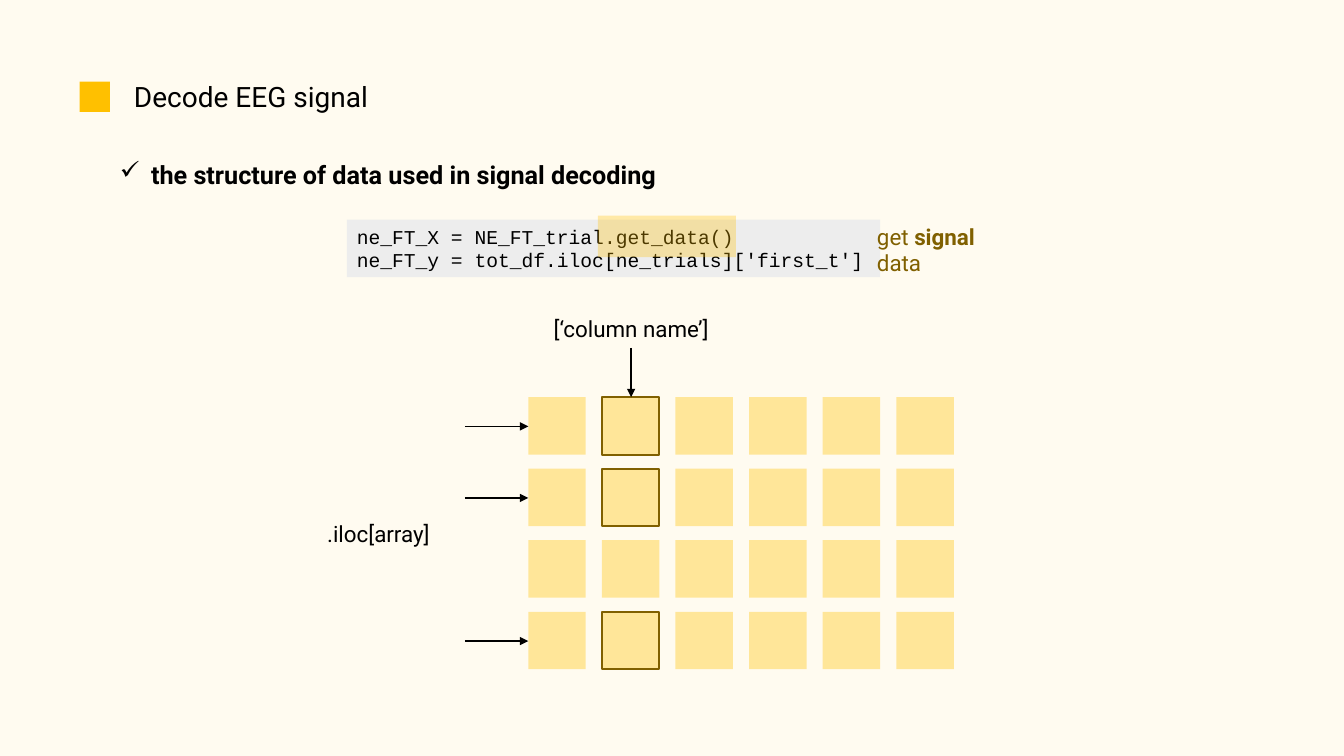
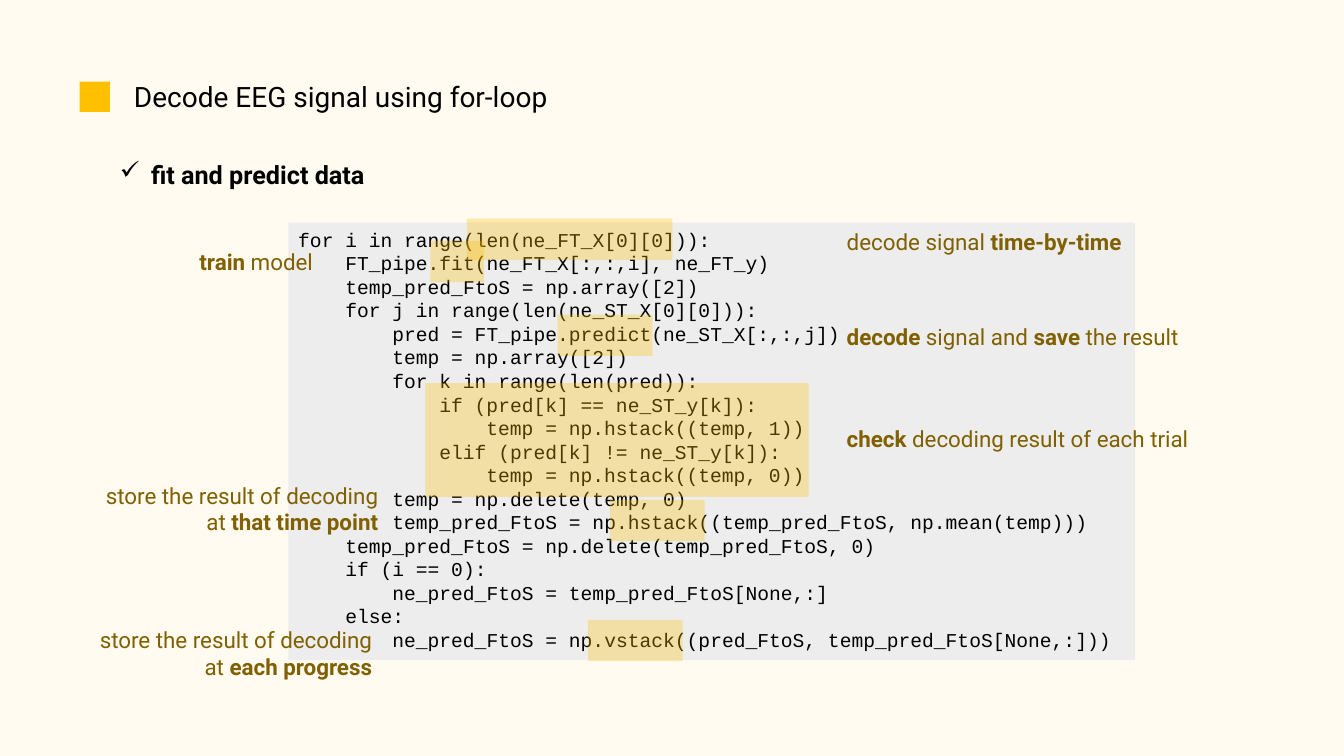
from lxml import etree
from pptx import Presentation
from pptx import util as u
from pptx.dml.color import RGBColor
from pptx.enum import shapes, text
from pptx.oxml.ns import qn

SCALE = 9144  # EMU in one px, 100 px to the inch
WIDTH, HEIGHT = 1333, 750

CREAM = RGBColor(0xFF, 0xFB, 0xF0)
AMBER = RGBColor(0xFF, 0xC0, 0x00)
SAND = RGBColor(0xFF, 0xE6, 0x99)
BROWN = RGBColor(0x80, 0x60, 0x00)
GREY = RGBColor(0xED, 0xED, 0xED)
BLACK = RGBColor(0x00, 0x00, 0x00)

BODY_FONT, CODE_FONT = "Roboto", "Courier New"
CODE_SIZE = 14
CODE_INDENT = u.Pt(4 * 0.6 * CODE_SIZE)  # four monospaced characters
LEFT, CENTER, RIGHT = text.PP_ALIGN.LEFT, text.PP_ALIGN.CENTER, text.PP_ALIGN.RIGHT


def px(length):
    return u.Emu(length * SCALE)


def write_paragraph(paragraph, content, *, size=16, font=BODY_FONT, color=BLACK,
                    align=LEFT, margin=0, bullet=None):
    """Write one paragraph; parts between double asterisks are bold."""
    paragraph.alignment = align
    properties = paragraph._p.get_or_add_pPr()
    if margin:
        properties.set("marL", str(margin))
    if bullet:
        properties.set("indent", str(-margin))
        etree.SubElement(properties, qn("a:buChar")).set("char", bullet)
    for index, part in enumerate(content.split("**")):
        if part:
            run = paragraph.add_run()
            run.text = part
            run.font.size = u.Pt(size)
            run.font.name = font
            run.font.bold = index % 2 == 1
            run.font.color.rgb = color


class Deck:
    def __init__(self):
        self.presentation = Presentation()
        self.presentation.slide_width = px(WIDTH)
        self.presentation.slide_height = px(HEIGHT)
        self.slide = None

    def start_slide(self, title, topic):
        self.slide = self.presentation.slides.add_slide(self.presentation.slide_layouts[6])
        background = self.slide.background.fill
        background.solid()
        background.fore_color.rgb = CREAM
        self.rectangle(79, 81, 30, 30, AMBER)
        self.label(123, 74, 800, 44, [title], size=20)
        self.label(109, 153, 800, 40, [f"**{topic}**"], size=18, margin=px(31), bullet="✓")

    def rectangle(self, left, top, width, height, fill, outline=None, opacity=None):
        shape = self.slide.shapes.add_shape(
            shapes.MSO_SHAPE.RECTANGLE, px(left), px(top), px(width), px(height))
        shape.shadow.inherit = False
        shape.fill.solid()
        shape.fill.fore_color.rgb = fill
        if opacity:
            color = shape.element.find(".//" + qn("a:srgbClr"))
            etree.SubElement(color, qn("a:alpha")).set("val", str(opacity * 1000))
        if outline:
            shape.line.color.rgb = outline
            shape.line.width = u.Pt(1.5)
        else:
            shape.line.fill.background()
        return shape

    def highlight(self, left, top, width, height=41):
        self.rectangle(left, top, width, height, AMBER, opacity=30)

    def label(self, left, top, width, height, lines, **style):
        box = self.slide.shapes.add_textbox(px(left), px(top), px(width), px(height))
        frame = box.text_frame
        frame.word_wrap = True
        for index, line in enumerate(lines):
            paragraph = frame.add_paragraph() if index else frame.paragraphs[0]
            write_paragraph(paragraph, line, **style)

    def note(self, left, top, width, *lines, align=LEFT):
        self.label(left, top, width, 37 + 27 * (len(lines) - 1), lines,
                   color=BROWN, align=align)

    def code(self, left, top, width, height, lines):
        """Each line is a pair: indent level and statement."""
        frame = self.rectangle(left, top, width, height, GREY).text_frame
        frame.word_wrap = True
        frame.vertical_anchor = text.MSO_ANCHOR.TOP
        for index, (level, statement) in enumerate(lines):
            paragraph = frame.add_paragraph() if index else frame.paragraphs[0]
            write_paragraph(paragraph, statement, size=CODE_SIZE, font=CODE_FONT,
                            margin=level * CODE_INDENT)

    def arrow(self, x1, y1, x2, y2):
        connector = self.slide.shapes.add_connector(
            shapes.MSO_CONNECTOR.STRAIGHT, px(x1), px(y1), px(x2), px(y2))
        connector.line.color.rgb = BLACK
        connector.line.width = u.Pt(1)
        line = connector.line._get_or_add_ln()
        etree.SubElement(line, qn("a:tailEnd")).set("type", "triangle")
        etree.SubElement(connector.element.spPr, qn("a:effectLst"))


def build_structure_slide(deck):
    deck.start_slide("Decode EEG signal", "the structure of data used in signal decoding")

    # Code and its note
    deck.code(344, 218, 529, 57, [
        (0, "ne_FT_X = NE_FT_trial.get_data()"),
        (0, "ne_FT_y = tot_df.iloc[ne_trials]['first_t']"),
    ])
    deck.highlight(593, 214, 137)
    deck.note(860, 216, 140, "get **signal** data")

    # Data grid with the chosen rows and column
    grid_left, grid_top, cell, half = 524, 394, 57, 29
    column_step, row_step = 73, 71
    chosen_rows, chosen_column = (0, 1, 3), 1
    for row in range(4):
        top = grid_top + row * row_step
        for column in range(6):
            chosen = row in chosen_rows and column == chosen_column
            deck.rectangle(grid_left + column * column_step, top, cell, cell, SAND,
                           outline=BROWN if chosen else None)
        if row in chosen_rows:
            deck.arrow(461, top + half, grid_left, top + half)
    column_middle = grid_left + chosen_column * column_step + half
    deck.arrow(column_middle, 345, column_middle, grid_top)

    # Grid labels
    deck.label(286, 511, 150, 37, [".iloc[array]"], align=RIGHT)
    deck.label(column_middle - 110, 308, 220, 37, ["[‘column name’]"], align=CENTER)


def build_loop_slide(deck):
    deck.start_slide("Decode EEG signal using for-loop", "fit and predict data")

    # Code
    deck.code(286, 221, 840, 434, [
        (0, "for i in range(len(ne_FT_X[0][0])):"),
        (1, "FT_pipe.fit(ne_FT_X[:,:,i], ne_FT_y)"),
        (1, "temp_pred_FtoS = np.array([2])"),
        (1, "for j in range(len(ne_ST_X[0][0])):"),
        (2, "pred = FT_pipe.predict(ne_ST_X[:,:,j])"),
        (2, "temp = np.array([2])"),
        (2, "for k in range(len(pred)):"),
        (3, "if (pred[k] == ne_ST_y[k]):"),
        (4, "temp = np.hstack((temp, 1))"),
        (3, "elif (pred[k] != ne_ST_y[k]):"),
        (4, "temp = np.hstack((temp, 0))"),
        (2, "temp = np.delete(temp, 0)"),
        (2, "temp_pred_FtoS = np.hstack((temp_pred_FtoS, np.mean(temp)))"),
        (1, "temp_pred_FtoS = np.delete(temp_pred_FtoS, 0)"),
        (1, "if (i == 0):"),
        (2, "ne_pred_FtoS = temp_pred_FtoS[None,:]"),
        (1, "else:"),
        (2, "ne_pred_FtoS = np.vstack((pred_FtoS, temp_pred_FtoS[None,:]))"),
    ])

    # Highlighted calls
    for left, top, width in [(463, 217, 204), (427, 239, 53), (553, 312, 94),
                             (605, 496, 94), (583, 615, 94)]:
        deck.highlight(left, top, width)
    deck.highlight(422, 380, 380, 113)

    # Notes on the right
    for top, line in [(221, "decode signal **time-by-time**"),
                      (316, "**decode** signal and **save** the result"),
                      (417, "**check** decoding result of each trial")]:
        deck.note(830, top, 420, line)

    # Notes on the left
    deck.note(188, 241, 160, "**train** model")
    for left, top, moment in [(55, 473, "that time point"), (49, 616, "each progress")]:
        deck.note(left, top, 330, "store the result of decoding", f"at **{moment}**",
                  align=RIGHT)


def main():
    deck = Deck()
    build_structure_slide(deck)
    build_loop_slide(deck)
    deck.presentation.save("out.pptx")


if __name__ == "__main__":
    main()
